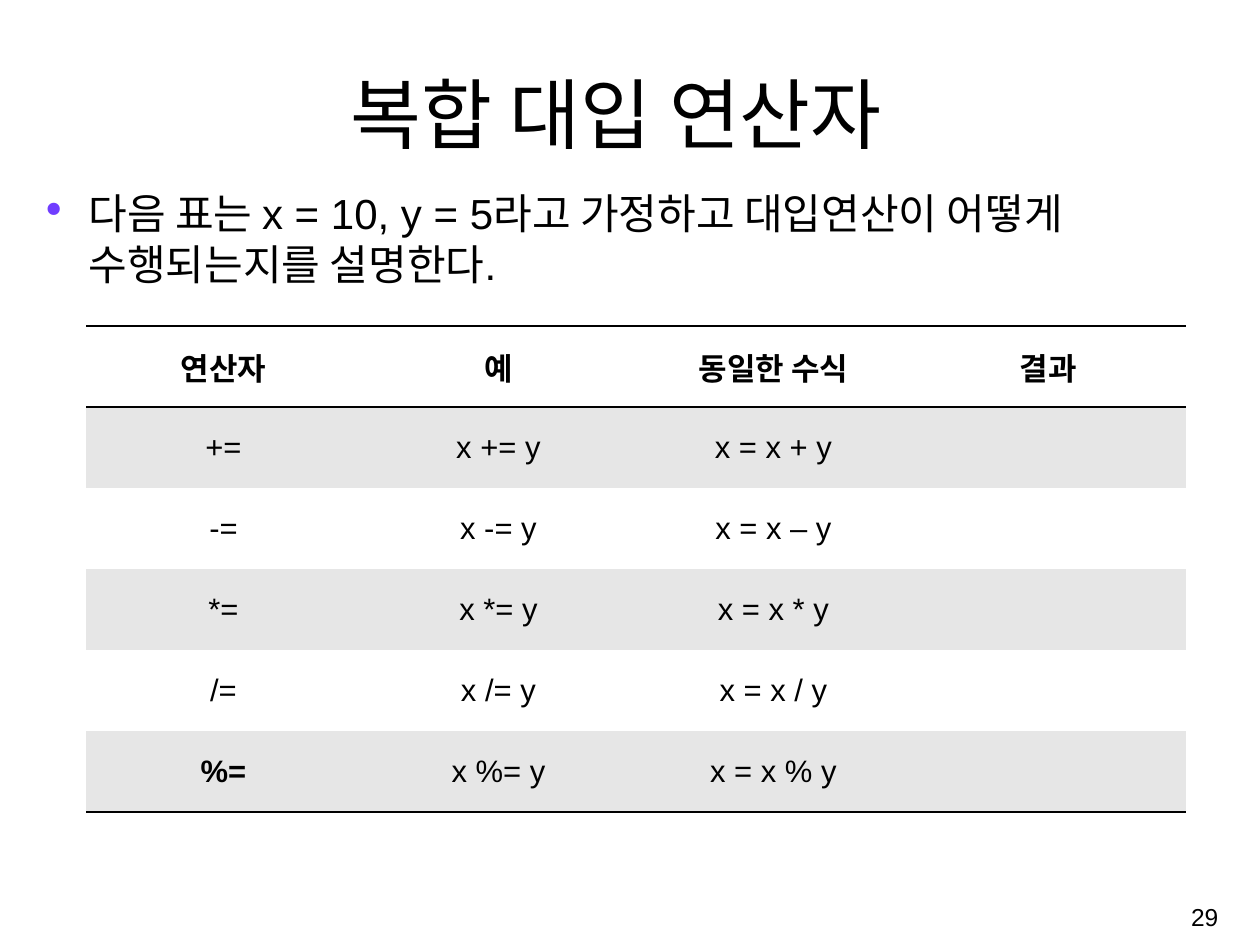
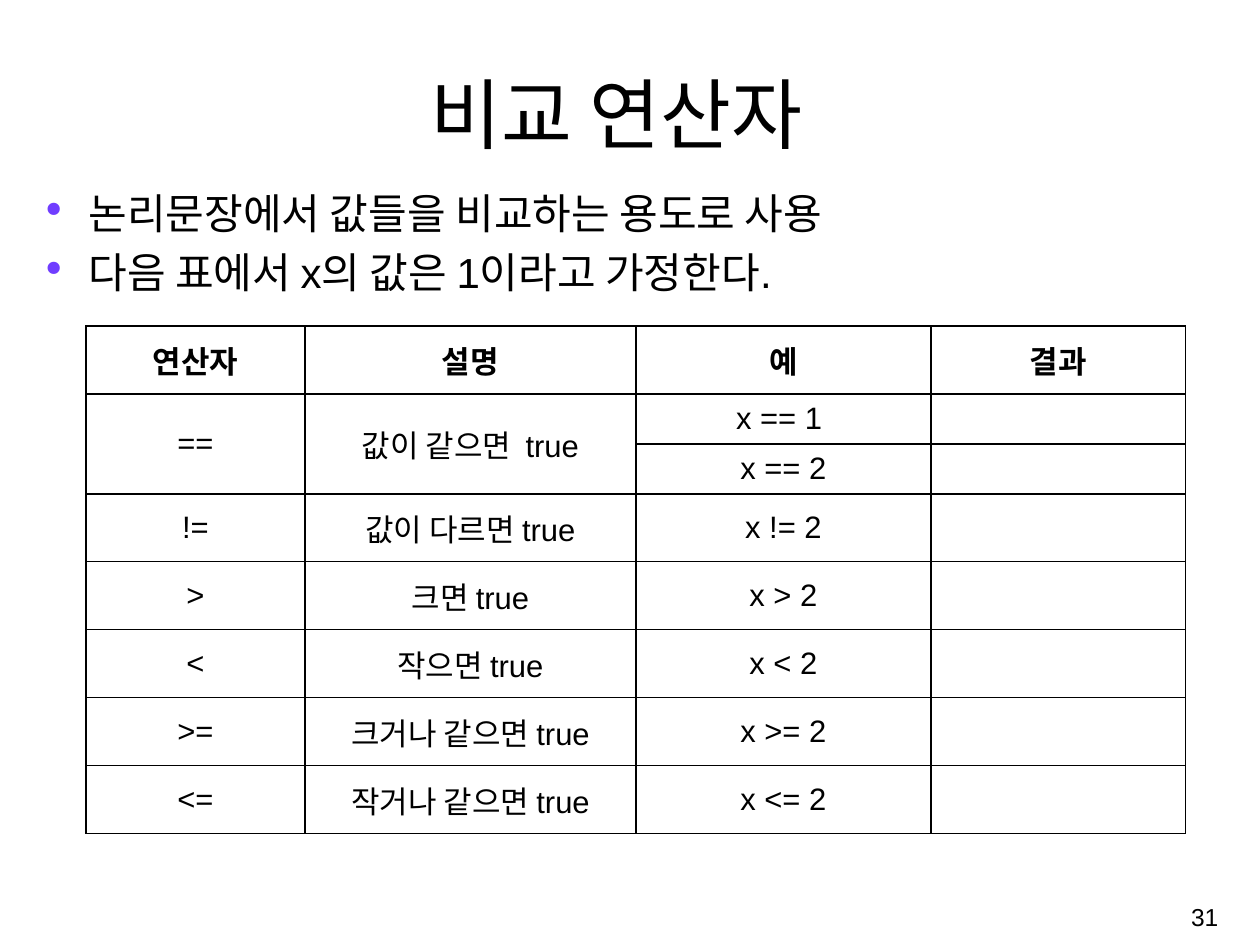
from lxml import etree
from pptx import Presentation
from pptx import util as u
from pptx.dml import color
from pptx.enum import text
from pptx.oxml import ns

PX = 914400 / 97
COLORS = {"ink": "000000", "paper": "FFFFFF", "band": "E6E6E6", "bullet": "703DFF"}
FONT = "Arial"
NO_STYLE = "{2D5ABB26-0587-4C30-8999-92F81FD0307C}"
CENTER, RIGHT, LEFT = text.PP_ALIGN.CENTER, text.PP_ALIGN.RIGHT, text.PP_ALIGN.LEFT
TOP, MIDDLE, BOTTOM = text.MSO_ANCHOR.TOP, text.MSO_ANCHOR.MIDDLE, text.MSO_ANCHOR.BOTTOM

FRAMES = {
    "title": {"box": (102, 59, 1029, 105), "size": 57.2, "align": CENTER, "anchor": BOTTOM},
    "points": {"box": (31, 183, 1195, 685), "size": 31.2, "align": LEFT, "anchor": TOP},
    "page": {"box": (968, 888, 260, 58), "size": 18.2, "align": RIGHT, "anchor": MIDDLE},
}
TABLE_LEFT, TABLE_TOP = 86, 326
HEAD_SIZE = 23
CELL_FORMAT = {
    "vertical_anchor": MIDDLE,
    "margin_left": u.Inches(0.13),
    "margin_right": u.Inches(0.13),
    "margin_top": u.Inches(0.06),
    "margin_bottom": u.Inches(0.06),
}

PAGES = [
    {
        "title": ["복합 대입 연산자"],
        "points": ["다음 표는 x = 10, y = 5라고 가정하고 대입연산이 어떻게 수행되는지를 설명한다."],
        "page": ["29"],
        "columns": [275] * 4,
        "heights": [81] * 6,
        "cells": [
            ["연산자", "예", "동일한 수식", "결과"],
            ["+=", "x += y", "x = x + y", ""],
            ["-=", "x -= y", "x = x – y", ""],
            ["*=", "x *= y", "x = x * y", ""],
            ["/=", "x /= y", "x = x / y", ""],
            ["%=", "x %= y", "x = x % y", ""],
        ],
        "bold": ["%="],
        "merged": [],
        "banded": True,
    },
    {
        "title": ["비교 연산자"],
        "points": ["논리문장에서 값들을 비교하는 용도로 사용", "다음 표에서 x의 값은 1이라고 가정한다."],
        "page": ["31"],
        "columns": [219, 331, 295, 255],
        "heights": [68, 50, 50] + [68] * 5,
        "cells": [
            ["연산자", "설명", "예", "결과"],
            ["==", "값이 같으면  true", "x == 1 ", ""],
            ["", "", "x == 2", ""],
            ["!=", "값이 다르면 true", "x != 2", ""],
            [">", "크면 true", "x > 2", ""],
            ["<", "작으면 true", "x < 2", ""],
            [">=", "크거나 같으면 true", "x >= 2", ""],
            ["<=", "작거나 같으면 true", "x <= 2", ""],
        ],
        "bold": [],
        "merged": [(1, 0), (1, 1)],
        "banded": False,
    },
]


def px(length):
    return u.Emu(round(length * PX))


def write(paragraph, words, size, align, bold=False):
    paragraph.alignment = align
    run = paragraph.add_run()
    run.text = words
    for name, value in {"name": FONT, "size": u.Pt(size), "bold": bold}.items():
        setattr(run.font, name, value)
    run.font.color.rgb = color.RGBColor.from_string(COLORS["ink"])


deck = Presentation()
deck.slide_width, deck.slide_height = px(1260), px(945)

for page in PAGES:
    slide = deck.slides.add_slide(deck.slide_layouts[6])

    for part, look in FRAMES.items():
        frame = slide.shapes.add_textbox(*map(px, look["box"])).text_frame
        frame.word_wrap = True
        frame.vertical_anchor = look["anchor"]
        for index, words in enumerate(page[part]):
            paragraph = frame.add_paragraph() if index else frame.paragraphs[0]
            write(paragraph, words, look["size"], look["align"])
            if part == "points":
                paragraph.space_before = u.Pt(6.2 if index else 0)
                props = paragraph._p.get_or_add_pPr()
                props.set("marL", str(px(48)))
                props.set("indent", str(-px(48)))
                tint = etree.SubElement(props, ns.qn("a:buClr"))
                etree.SubElement(tint, ns.qn("a:srgbClr"), val=COLORS["bullet"])
                etree.SubElement(props, ns.qn("a:buChar"), char="∙")

    columns, heights, cells = page["columns"], page["heights"], page["cells"]
    holder = slide.shapes.add_table(
        len(heights), len(columns), px(TABLE_LEFT), px(TABLE_TOP), px(sum(columns)), px(sum(heights))
    )
    holder.element.find(".//" + ns.qn("a:tableStyleId")).text = NO_STYLE
    operators = holder.table
    operators.horz_banding = False
    for column, width in zip(operators.columns, columns):
        column.width = px(width)
    for row, height in zip(operators.rows, heights):
        row.height = px(height)
    for r, c in page["merged"]:
        operators.cell(r, c).merge(operators.cell(r + 1, c))

    for r, line in enumerate(cells):
        if page["banded"]:
            sides = {0: ["lnT", "lnB"], len(cells) - 1: ["lnB"]}.get(r, [])
            weight = 2
        else:
            sides = ["lnL", "lnR", "lnT", "lnB"]
            weight = 1
        for c, words in enumerate(line):
            cell = operators.cell(r, c)
            for name, value in CELL_FORMAT.items():
                setattr(cell, name, value)
            for side in sides:
                edge = etree.SubElement(
                    cell._tc.get_or_add_tcPr(), ns.qn("a:" + side), w=str(u.Pt(weight))
                )
                ink = etree.SubElement(edge, ns.qn("a:solidFill"))
                etree.SubElement(ink, ns.qn("a:srgbClr"), val=COLORS["ink"])
            if page["banded"]:
                cell.fill.solid()
                shade = COLORS["band" if r % 2 else "paper"]
                cell.fill.fore_color.rgb = color.RGBColor.from_string(shade)
            else:
                cell.fill.background()
            if words:
                bold = r == 0 or words in page["bold"]
                write(cell.text_frame.paragraphs[0], words, HEAD_SIZE, CENTER, bold)

deck.save("out.pptx")
